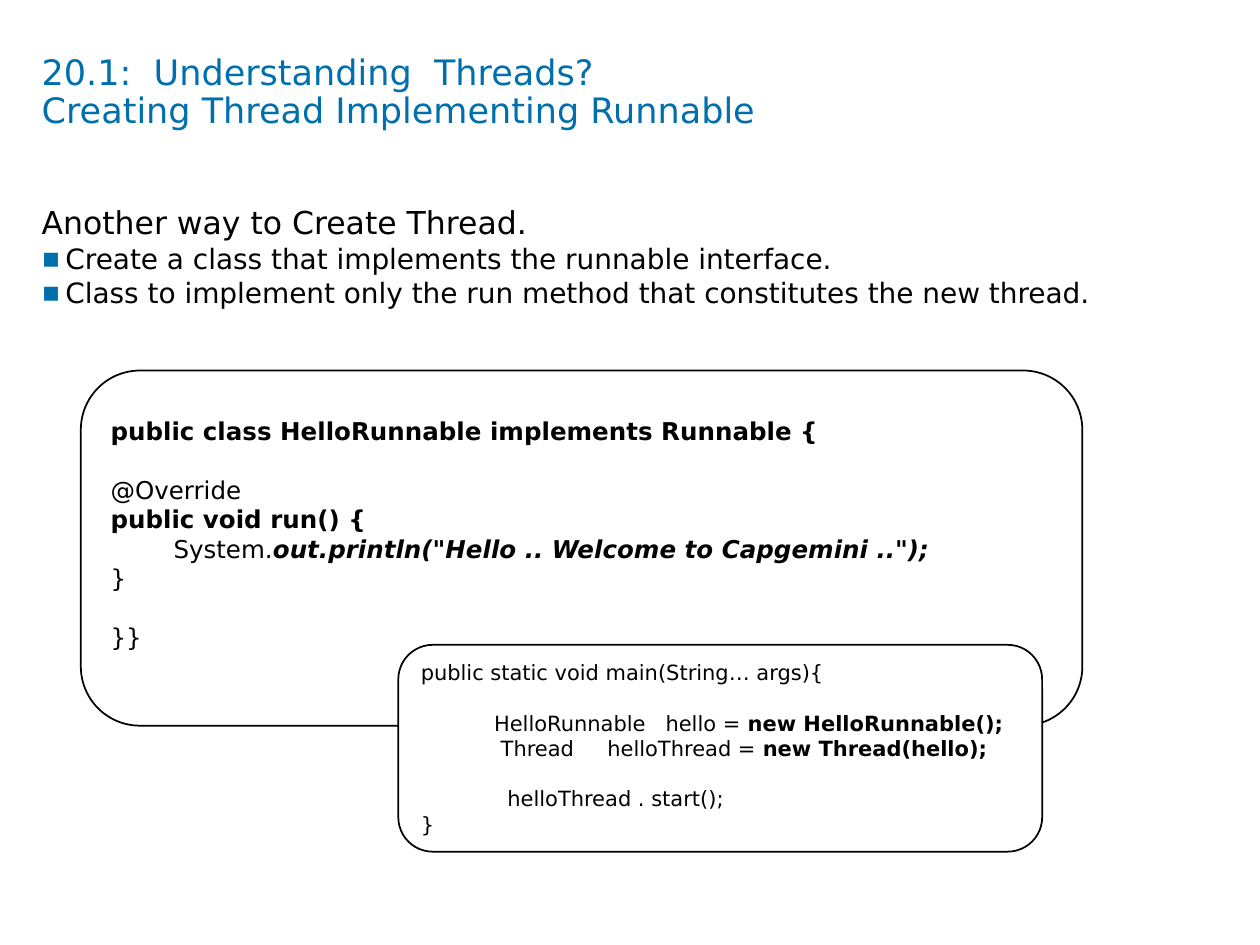
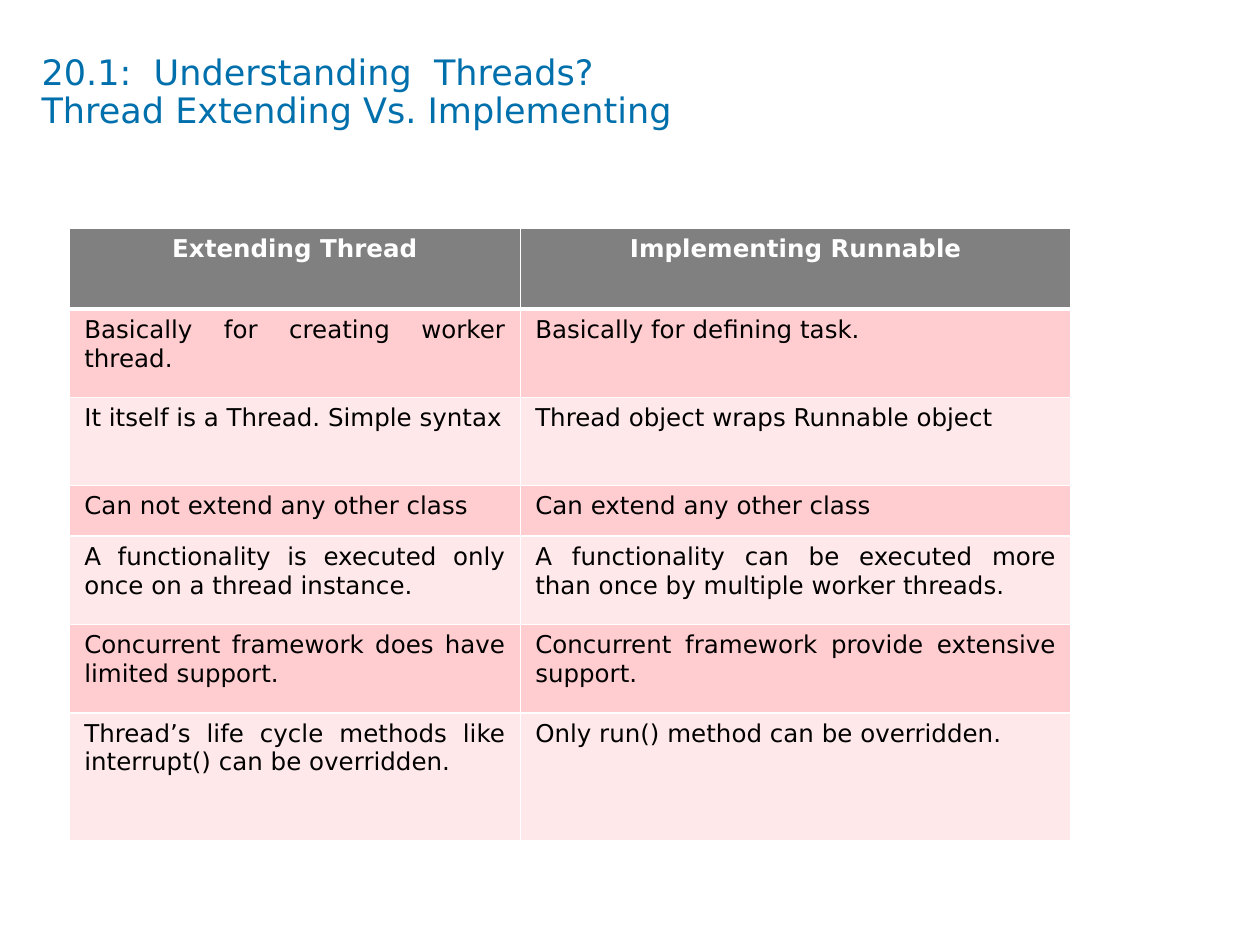
"""Build two slides on creating threads by implementing Runnable."""

from dataclasses import dataclass

import pptx
import pptx.dml.color
import pptx.enum.shapes
import pptx.enum.text
import pptx.oxml
import pptx.oxml.ns
import pptx.util

Cm = pptx.util.Cm
Pt = pptx.util.Pt
ALIGN = pptx.enum.text.PP_ALIGN
ANCHOR = pptx.enum.text.MSO_ANCHOR

FONT = "DejaVu Sans"
COLORS = {
    "accent": "0070AD",
    "text": "000000",
    "white": "FFFFFF",
    "header": "808080",
    "odd_row": "FFCDD0",
    "even_row": "FFE8E9",
}
CHAPTER = "20.1:  Understanding  Threads?"


@dataclass(frozen=True)
class Span:
    text: str
    bold: bool = False
    italic: bool = False


@dataclass(frozen=True)
class CodeLine:
    spans: tuple[Span, ...]
    gap_above: bool = False


@dataclass(frozen=True)
class CodePanel:
    left: float
    top: float
    width: float
    height: float
    size: float
    line_height: float
    bottom_inset: float
    lines: tuple[CodeLine, ...]


CODE_PANELS = (
    CodePanel(1.63, 7.47, 20.19, 7.16, 14, 16.8, 0.71, (
        CodeLine((Span("public class HelloRunnable implements Runnable {", bold=True),)),
        CodeLine((Span("@Override"),), gap_above=True),
        CodeLine((Span("public void run() {", bold=True),)),
        CodeLine((
            Span("  \tSystem."),
            Span('out.println("Hello .. Welcome to Capgemini ..");', bold=True, italic=True),
        )),
        CodeLine((Span("}"),)),
        CodeLine((Span("}}"),), gap_above=True),
    )),
    CodePanel(8.03, 13, 12.98, 4.17, 12, 14.4, 0.13, (
        CodeLine((Span("public static void main(String… args){"),)),
        CodeLine((
            Span("           HelloRunnable   hello = "),
            Span("new HelloRunnable();", bold=True),
        ), gap_above=True),
        CodeLine((
            Span("            Thread     helloThread = "),
            Span("new Thread(hello);", bold=True),
        )),
        CodeLine((Span("             helloThread . start();"),), gap_above=True),
        CodeLine((Span("}"),)),
    )),
)

BULLETS = (
    "Create a class that implements the runnable interface.",
    "Class to implement only the run method that constitutes the new thread.",
)

COLUMN_WIDTHS = (9.09, 11.1)
ROW_HEIGHTS = (1.63, 1.78, 1.78, 1.02, 1.78, 1.78, 2.57)
COMPARISON = (
    ("Extending Thread", "Implementing Runnable"),
    ("Basically for creating worker thread.", "Basically for defining task."),
    ("It itself is a Thread. Simple syntax", "Thread object wraps Runnable object"),
    ("Can not extend any other class", "Can extend any other class"),
    ("A functionality is executed only once on a thread instance.",
     "A functionality can be executed more than once by multiple worker threads."),
    ("Concurrent framework does have limited support.",
     "Concurrent framework provide extensive support."),
    ("Thread’s life cycle methods like interrupt() can be overridden.",
     "Only run() method can be overridden."),
)


def rgb(name: str) -> pptx.dml.color.RGBColor:
    return pptx.dml.color.RGBColor.from_string(COLORS[name])


def add_span(para, text: str, *, size: float, color: str = "text",
             bold: bool = False, italic: bool = False) -> None:
    span = para.add_run()
    span.text = text
    span.font.name = FONT
    span.font.size = Pt(size)
    span.font.bold = bold
    span.font.italic = italic
    span.font.color.rgb = rgb(color)


def add_text_frame(page, left: float, top: float, width: float, height: float):
    box = page.shapes.add_textbox(Cm(left), Cm(top), Cm(width), Cm(height))
    frame = box.text_frame
    frame.word_wrap = True
    frame.margin_left = frame.margin_right = Cm(0)
    frame.margin_top = frame.margin_bottom = Cm(0)
    return frame


def add_page(deck, heading: str):
    page = deck.slides.add_slide(deck.slide_layouts[6])
    para = add_text_frame(page, 0.84, 1.12, 22.96, 2.39).paragraphs[0]
    para.line_spacing = 0.9
    add_span(para, CHAPTER, size=20, color="accent")
    para.add_line_break()
    add_span(para, heading, size=20, color="accent")
    return page


def add_xml(parent, tag: str, content: str = "", **attributes: str) -> None:
    names = "".join(f' {key}="{value}"' for key, value in attributes.items())
    namespace = pptx.oxml.ns.nsdecls("a")
    parent.append(pptx.oxml.parse_xml(f"<a:{tag} {namespace}{names}>{content}</a:{tag}>"))


def color_xml(name: str) -> str:
    return f'<a:srgbClr val="{COLORS[name]}"/>'


def set_bullet(para) -> None:
    properties = para._p.get_or_add_pPr()
    indent = Cm(0.48)
    properties.set("marL", str(indent))
    properties.set("indent", str(-indent))
    add_xml(properties, "buClr", color_xml("accent"))
    add_xml(properties, "buFont", typeface=FONT)
    add_xml(properties, "buChar", char="▪")


def add_introduction(page) -> None:
    frame = add_text_frame(page, 0.84, 4.27, 24.56, 12.9)
    para = frame.paragraphs[0]
    para.line_spacing = Pt(16.5)
    para.space_after = Pt(4.5)
    add_span(para, "Another way to Create Thread.", size=18)
    for bullet in BULLETS:
        para = frame.add_paragraph()
        para.level = 1
        para.line_spacing = Pt(15)
        para.space_after = Pt(4.5)
        set_bullet(para)
        add_span(para, bullet, size=16)


def add_code_panel(page, panel: CodePanel) -> None:
    box = page.shapes.add_shape(
        pptx.enum.shapes.MSO_SHAPE.ROUNDED_RECTANGLE,
        Cm(panel.left), Cm(panel.top), Cm(panel.width), Cm(panel.height))
    box.shadow.inherit = False
    box.fill.solid()
    box.fill.fore_color.rgb = rgb("white")
    box.line.color.rgb = rgb("text")
    box.line.width = Pt(1)
    frame = box.text_frame
    frame.word_wrap = True
    frame.vertical_anchor = ANCHOR.MIDDLE
    frame.margin_bottom = Cm(panel.bottom_inset)
    for index, line in enumerate(panel.lines):
        para = frame.add_paragraph() if index else frame.paragraphs[0]
        para.alignment = ALIGN.LEFT
        if line.gap_above:
            para.space_before = Pt(panel.line_height)
        for span in line.spans:
            add_span(para, span.text, size=panel.size, bold=span.bold, italic=span.italic)


def set_borders(cell, row: int) -> None:
    widths = {"lnL": 1, "lnR": 1, "lnT": 3 if row == 1 else 1, "lnB": 3 if row == 0 else 1}
    for side, width in widths.items():
        add_xml(cell._tc.get_or_add_tcPr(), side,
                f"<a:solidFill>{color_xml('white')}</a:solidFill>", w=str(Pt(width)))


def fill_cell(cell, text: str, row: int) -> None:
    header = row == 0
    set_borders(cell, row)
    cell.margin_left = cell.margin_right = Cm(0.3)
    cell.margin_top = cell.margin_bottom = Cm(0.13)
    cell.fill.solid()
    cell.fill.fore_color.rgb = rgb("header" if header else "odd_row" if row % 2 else "even_row")
    para = cell.text_frame.paragraphs[0]
    para.alignment = ALIGN.CENTER if header else ALIGN.JUSTIFY
    add_span(para, text, size=14, color="white" if header else "text", bold=header)


def add_comparison(page) -> None:
    table = page.shapes.add_table(
        len(ROW_HEIGHTS), len(COLUMN_WIDTHS), Cm(1.4), Cm(4.6),
        Cm(sum(COLUMN_WIDTHS)), Cm(sum(ROW_HEIGHTS))).table
    for column, width in zip(table.columns, COLUMN_WIDTHS):
        column.width = Cm(width)
    for row, (height, texts) in enumerate(zip(ROW_HEIGHTS, COMPARISON)):
        table.rows[row].height = Cm(height)
        for column, text in enumerate(texts):
            fill_cell(table.cell(row, column), text, row)


def main() -> None:
    deck = pptx.Presentation()
    deck.slide_width = Cm(25.4)
    deck.slide_height = Cm(19.05)

    runnable_page = add_page(deck, "Creating Thread Implementing Runnable")
    add_introduction(runnable_page)
    for panel in CODE_PANELS:
        add_code_panel(runnable_page, panel)

    add_comparison(add_page(deck, "Thread Extending Vs. Implementing"))
    deck.save("out.pptx")


if __name__ == "__main__":
    main()
